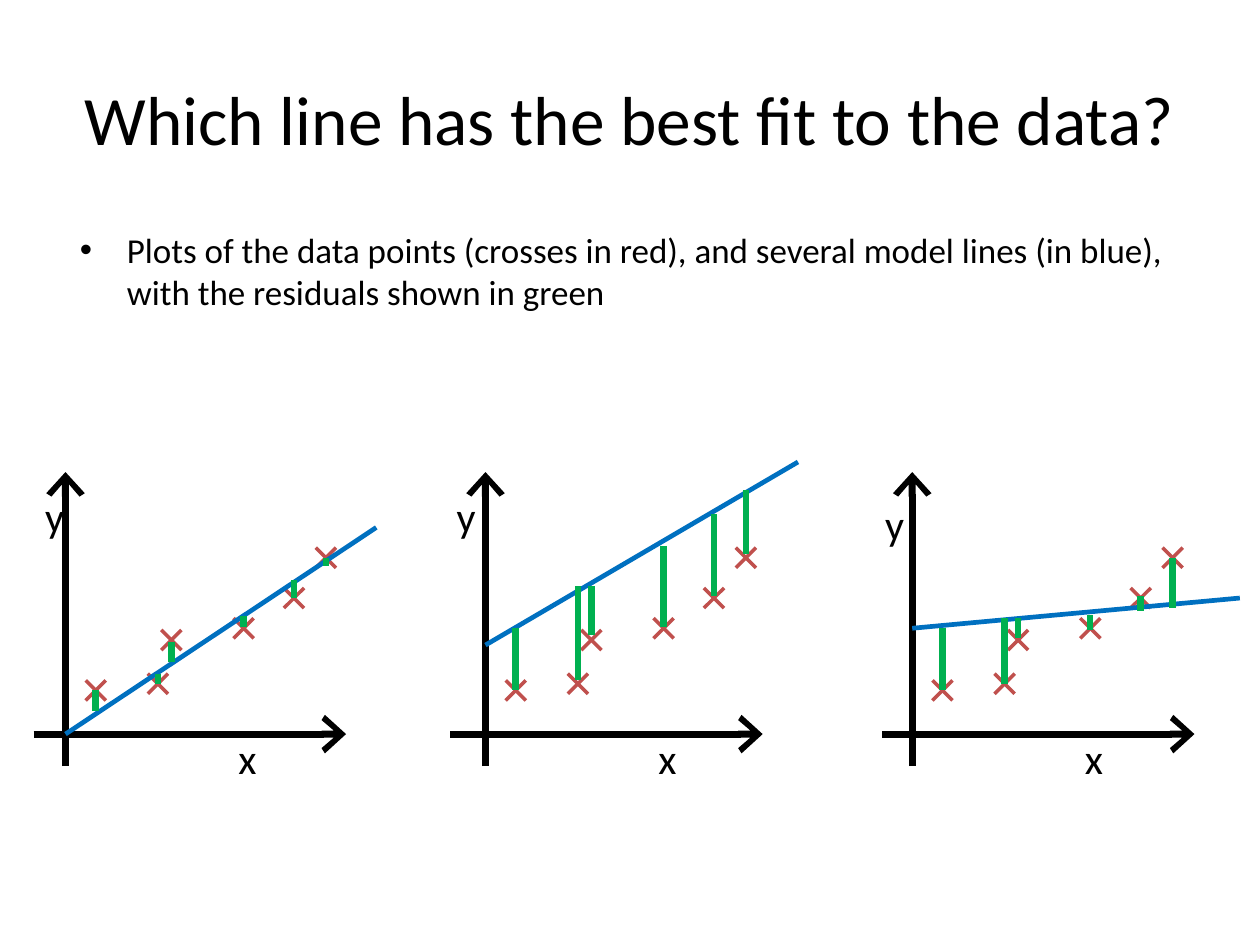
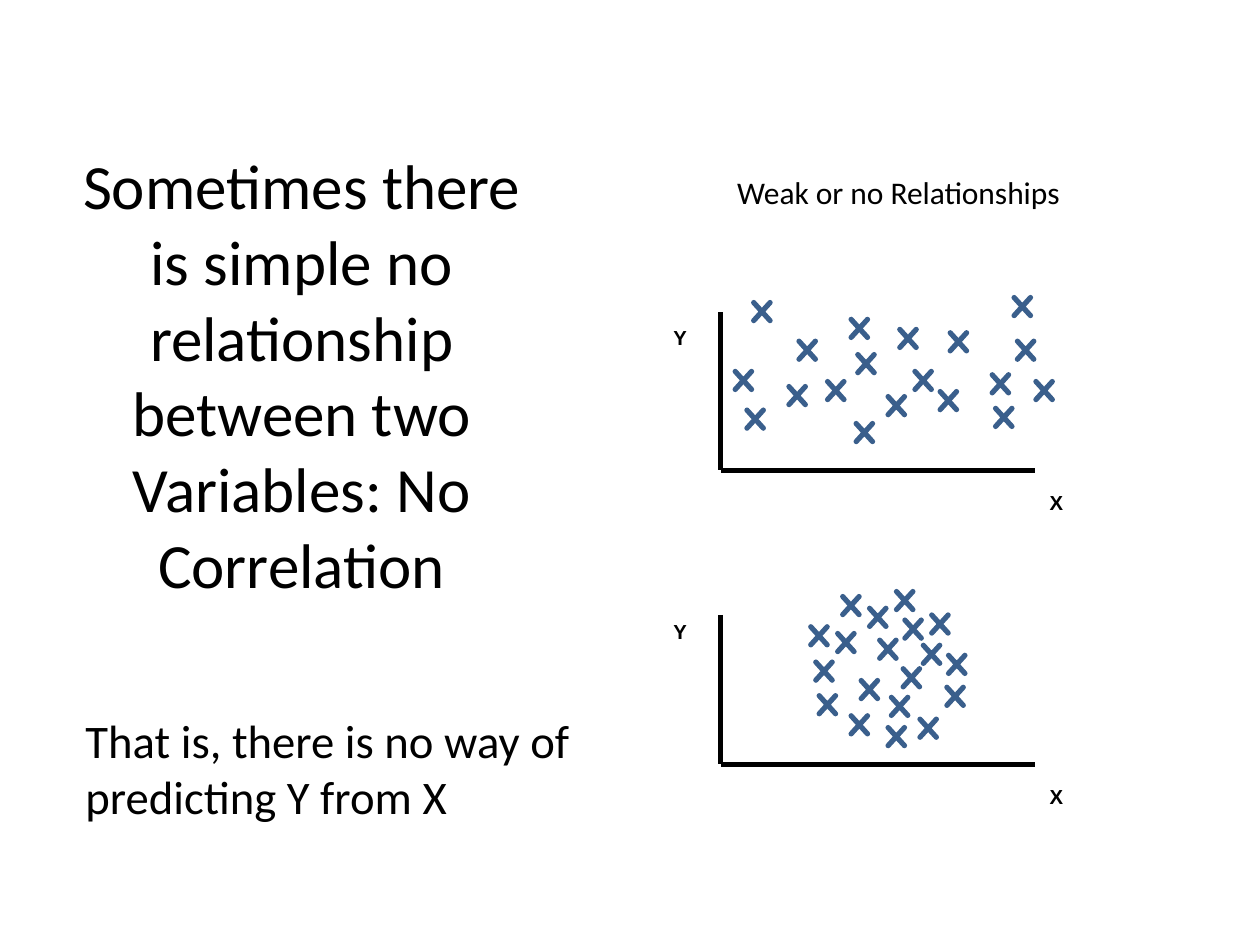
from lxml.etree import SubElement
from pptx import Presentation
from pptx.dml.color import RGBColor
from pptx.enum.shapes import MSO_CONNECTOR, MSO_SHAPE
from pptx.enum.text import MSO_ANCHOR, MSO_AUTO_SIZE, PP_ALIGN
from pptx.oxml.ns import qn
from pptx.util import Inches, Pt

# Shared look: a 4 by 3 page
WIDE = 7.5
HIGH = WIDE * 3 / 4
BLACK = RGBColor(0, 0, 0)
RED = RGBColor(0xC0, 0x50, 0x4D)
BLUE = RGBColor(0, 0x70, 0xC0)
GREEN = RGBColor(0, 0xB0, 0x50)
MARK, EDGE = RGBColor(0x4F, 0x81, 0xBD), RGBColor(0x3A, 0x5F, 0x8C)
TITLE_ONLY, TITLE_BODY = 5, 1
SIDE = WIDE * 0.05
PLAIN = {"name": "Calibri", "bold": False}
AXIS_FONT = {"name": "Arial", "bold": True, "size": Pt(15)}

# Content: model lines
FIT_TITLE = "Which line has the best fit to the data?"
FIT_TEXT = ("Plots of the data points (crosses in red), and several model "
            "lines (in blue), with the residuals shown in green")
POINTS = [(0.18, 4.11), (0.55, 4.07), (0.63, 3.81),
          (1.06, 3.74), (1.36, 3.56), (1.55, 3.32)]
BASE, HALF = 4.37, 0.06
# axis: x of the y axis; start: left end of the x axis; y: label place;
# fit: start height, run, end height; gaps: residual ends, one per point
PANELS = [
    {"axis": 0.39, "start": 0.2, "y": (0.17, 2.87), "fit": (4.37, 1.85, 3.14),
     "gaps": [(4.11, 4.23), (4.01, 4.07), (3.82, 3.94),
              (3.67, 3.73), (3.45, 3.56), (3.32, 3.37)]},
    {"axis": 2.89, "start": 2.68, "y": (2.62, 2.87), "fit": (3.84, 1.86, 2.75),
     "gaps": [(3.74, 4.11), (3.49, 4.05), (3.49, 3.78),
              (3.25, 3.73), (3.06, 3.55), (2.92, 3.3)]},
    {"axis": 5.43, "start": 5.25, "y": (5.17, 2.92), "fit": (3.74, 1.95, 3.56),
     "gaps": [(3.74, 4.11), (3.68, 4.07), (3.68, 3.8),
              (3.66, 3.75), (3.55, 3.64), (3.32, 3.62)]},
]

# Content: scatter plots without a trend
WEAK_TITLE = ("Sometimes there is simple no relationship between two "
              "Variables: No Correlation")
WEAK_HEAD = "Weak or no Relationships"
WEAK_TEXT = "That is, there is no way of predicting Y from X"
LEFT, RIGHT = 4.29, 6.16
PLOTS = [
    {"top": 1.86, "base": 2.8, "y": 1.75, "marks": [
        (4.4, 2.39), (4.44, 1.75), (6.01, 1.98), (5.61, 1.93), (4.88, 2.22),
        (5.05, 2.47), (6.12, 2.22), (5.4, 2.16), (4.33, 2.16), (4.65, 2.25),
        (4.71, 1.98), (5.24, 2.31), (5.02, 1.85), (5.31, 1.91), (5.88, 2.38),
        (5.55, 2.28), (5.06, 2.06), (5.86, 2.18), (5.99, 1.72)]},
    {"top": 3.66, "base": 4.55, "y": 3.5, "marks": [
        (4.97, 3.5), (5.13, 3.57), (5.59, 4.04), (5.34, 3.64), (4.83, 4.09),
        (4.78, 3.68), (5.5, 3.61), (5.45, 3.79), (5.29, 3.47), (5.02, 4.21),
        (4.81, 3.89), (5.26, 4.1), (4.94, 3.72), (5.19, 3.76), (5.43, 4.23),
        (5.33, 3.93), (5.08, 4), (5.24, 4.28), (5.6, 3.85)]},
]


# Helpers
def style(font, form):
    for key, val in form.items():
        setattr(font, key, val)
    font.color.rgb = BLACK


def place(shape, box):
    for key, val in zip(("left", "top", "width", "height"), box):
        setattr(shape, key, Inches(val))


def title(slide, text, box, size):
    head = slide.shapes.title
    place(head, box)
    frame = head.text_frame
    frame.text = text
    frame.auto_size = MSO_AUTO_SIZE.NONE
    frame.vertical_anchor = MSO_ANCHOR.MIDDLE
    para = frame.paragraphs[0]
    para.alignment = PP_ALIGN.CENTER
    style(para.runs[0].font, {**PLAIN, "size": Pt(size)})


def label(slide, text, box, form, wrap=False):
    frame = slide.shapes.add_textbox(*map(Inches, box)).text_frame
    frame.word_wrap = wrap
    frame.text = text
    run = frame.paragraphs[0].runs[0]
    style(run.font, form)
    return run


def line(shapes, x1, y1, x2, y2, color, width, arrow=False):
    link = shapes.add_connector(MSO_CONNECTOR.STRAIGHT,
                                *map(Inches, (x1, y1, x2, y2)))
    link.line.color.rgb = color
    link.line.width = Pt(width)
    if arrow:
        SubElement(link.line._get_or_add_ln(), qn("a:tailEnd"),
                   type="arrow", w="lg", len="med")
    SubElement(link._element.spPr, qn("a:effectLst"))


def panel(slide, axis, start, y, fit, gaps):
    shapes = slide.shapes
    line(shapes, axis, 4.56, axis, 2.81, BLACK, 3, True)
    line(shapes, start, BASE, start + 1.86, BASE, BLACK, 3, True)
    for text, spot in (("y", y), ("x", (axis + 0.93, 4.31))):
        label(slide, text, (*spot, 0.32, 0.4), {**PLAIN, "size": Pt(18)})
    group = shapes.add_group_shape().shapes
    for dx, mid in POINTS:
        x = axis + dx
        for way in (HALF, -HALF):
            line(group, x - way, mid + HALF, x + way, mid - HALF, RED, 1.5)
    first, run, last = fit
    line(shapes, axis, first, axis + run, last, BLUE, 2)
    for (dx, _), (top, low) in zip(POINTS, gaps):
        line(shapes, axis + dx, top, axis + dx, low, GREEN, 2.75)


def plot(slide, top, base, y, marks):
    line(slide.shapes, LEFT, top, LEFT, base, BLACK, 2)
    line(slide.shapes, LEFT, base, RIGHT, base, BLACK, 2)
    for text, spot in (("Y", (3.91, y)), ("X", (6.15, base - 0.07))):
        run = label(slide, text, (*spot, 0.34, 0.35), AXIS_FONT)
        run._r.get_or_add_rPr().set("baseline", "-25000")
    for spot in marks:
        mark = slide.shapes.add_shape(MSO_SHAPE.MATH_MULTIPLY,
                                      *map(Inches, (*spot, 0.19, 0.21)))
        mark.adjustments[0] = 0.016
        mark.shadow.inherit = False
        mark.fill.solid()
        mark.fill.fore_color.rgb = MARK
        mark.line.color.rgb = EDGE
        mark.line.width = Pt(2)


# Slides
def fit_slide(deck):
    slide = deck.slides.add_slide(deck.slide_layouts[TITLE_BODY])
    title(slide, FIT_TITLE, (SIDE, 0.23, WIDE * 0.9, HIGH / 6), 29.7)
    body = slide.placeholders[1]
    place(body, (SIDE, 1.31, WIDE * 0.9, HIGH * 0.66))
    body.text_frame.text = FIT_TEXT
    body.text_frame.auto_size = MSO_AUTO_SIZE.NONE
    para = body.text_frame.paragraphs[0]
    para.space_before = Pt(0)
    props = para._p.get_or_add_pPr()
    for key, val in (("marL", 0.28), ("indent", -0.28)):
        props.set(key, str(Inches(val)))
    SubElement(props, qn("a:buFont"), typeface="Arial")
    SubElement(props, qn("a:buChar"), char="•")
    style(para.runs[0].font, {**PLAIN, "size": Pt(15)})
    for item in PANELS:
        panel(slide, **item)


def weak_slide(deck):
    slide = deck.slides.add_slide(deck.slide_layouts[TITLE_ONLY])
    title(slide, WEAK_TITLE, (SIDE, 0.87, 2.84, 2.71), 27)
    for item in PLOTS:
        plot(slide, **item)
    label(slide, WEAK_HEAD, (LEFT, 0.98, 2.14, 0.33),
          {**PLAIN, "size": Pt(13.5)}, True)
    label(slide, WEAK_TEXT, (0.41, 4.19, 3.41, 0.77),
          {**PLAIN, "size": Pt(20)}, True)


def main():
    deck = Presentation()
    deck.slide_width, deck.slide_height = Inches(WIDE), Inches(HIGH)
    fit_slide(deck)
    weak_slide(deck)
    deck.save("out.pptx")


if __name__ == "__main__":
    main()
